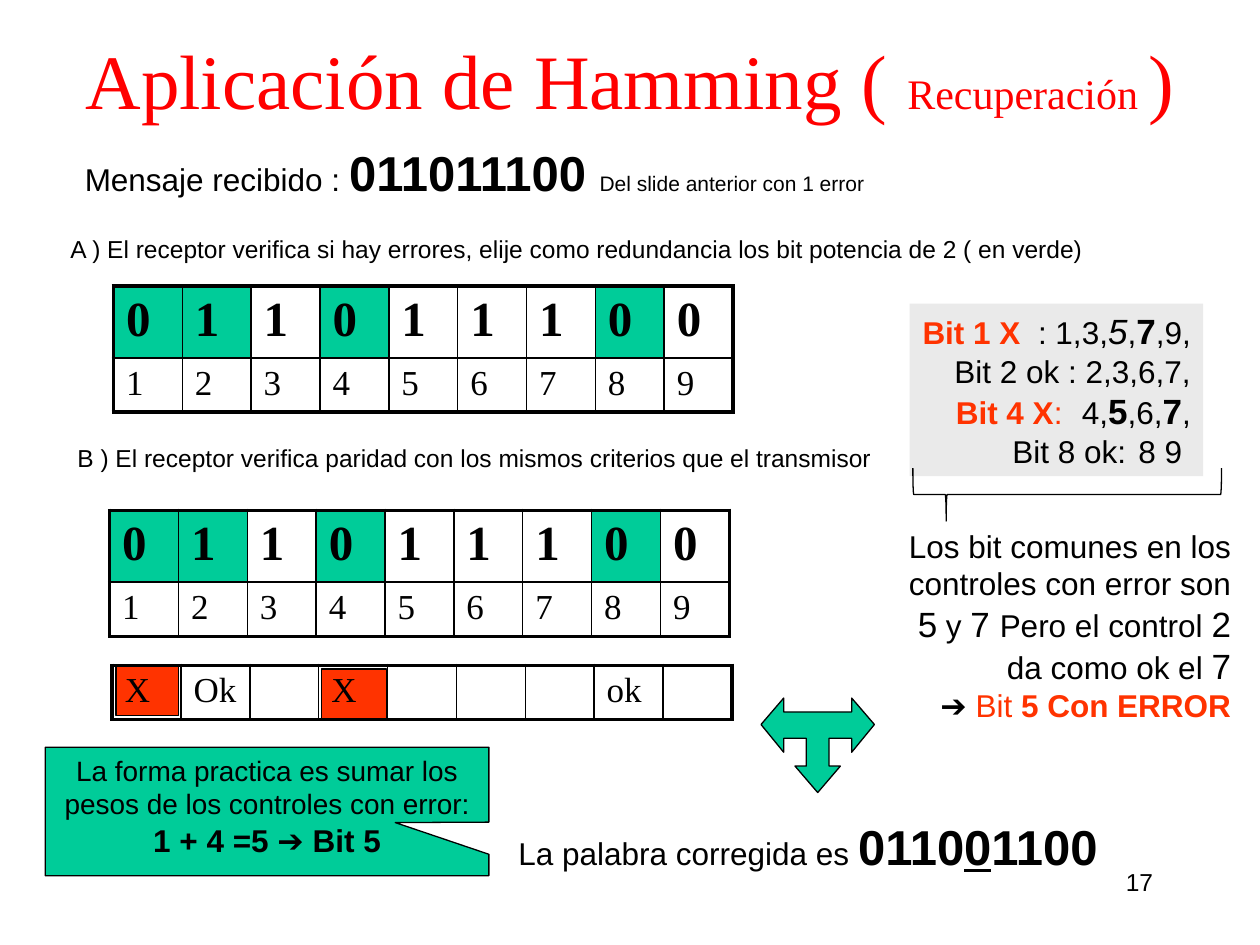
from dataclasses import dataclass

from lxml.etree import SubElement
from pptx import Presentation
from pptx.dml.color import RGBColor
from pptx.enum.shapes import MSO_SHAPE as Preset
from pptx.enum.text import MSO_ANCHOR as Anchor, MSO_AUTO_SIZE as AutoSize, PP_ALIGN as Align
from pptx.oxml.ns import qn
from pptx.util import Inches, Pt


@dataclass(frozen=True)
class Theme:
    sans: str = "Arial"
    serif: str = "Times New Roman"
    black: str = "000000"
    title_red: str = "FF0000"
    alert: str = "FF3300"
    green: str = "00CC99"
    grey: str = "EAEAEA"
    title: float = 44
    bits: float = 28
    subtitle: float = 24
    large: float = 20
    body: float = 18
    note: float = 16
    small: float = 14
    tiny: float = 12
    outline: float = 0.75
    grid: float = 1
    frame: float = 2.25


THEME = Theme()
BOLD = {"bold": True}
BITS = {"size": THEME.bits, "bold": True}
BIG = {"size": THEME.large}
BIG_BOLD = BIG | BOLD
ALERT = {"color": THEME.alert}
ALERT_BOLD = ALERT | BOLD


def rgb(color):
    return RGBColor.from_string(color)


def add_span(para, text, base, **changes):
    span = para.add_run()
    span.text = text
    style = base | changes
    span.font.color.rgb = rgb(style.pop("color", THEME.black))
    style["size"] = Pt(style["size"])
    for name, value in style.items():
        setattr(span.font, name, value)


def write(frame, paragraphs, size=THEME.body, align=Align.RIGHT, font=THEME.sans,
          wrap=True, anchor=Anchor.TOP):
    """Fill a frame; each paragraph is a list of (text, format changes), \\n breaks a line."""
    settings = {"word_wrap": wrap, "auto_size": AutoSize.NONE, "vertical_anchor": anchor}
    for name, value in settings.items():
        setattr(frame, name, value)
    base = {"size": size, "name": font}
    for index, spans in enumerate(paragraphs):
        para = frame.paragraphs[0] if index == 0 else frame.add_paragraph()
        para.alignment = align
        for text, changes in spans:
            for part, line in enumerate(text.split("\n")):
                if part:
                    para.add_line_break()
                if line:
                    add_span(para, line, base, **changes)


def add_text(page, box, paragraphs, **options):
    write(page.shapes.add_textbox(*map(Inches, box)).text_frame, paragraphs, **options)


def paint(shape, fill=None, line=THEME.black):
    shape.shadow.inherit = False
    for part, color in ((shape.fill, fill), (shape.line.fill, line)):
        if color:
            part.solid()
            part.fore_color.rgb = rgb(color)
        else:
            part.background()
    if line:
        shape.line.width = Pt(THEME.outline)


def add_preset(page, preset, box, fill=None, line=THEME.black, adjustments=()):
    shape = page.shapes.add_shape(preset, *map(Inches, box))
    paint(shape, fill, line)
    for index, value in enumerate(adjustments):
        shape.adjustments[index] = value
    return shape


def set_borders(cell, widths):
    properties = cell._tc.get_or_add_tcPr()
    for index, (side, width) in enumerate(widths.items()):
        edge = SubElement(properties, qn(f"a:ln{side}"), w=str(Pt(width)))
        fill = SubElement(edge, qn("a:solidFill"))
        SubElement(fill, qn("a:srgbClr"), val=THEME.black)
        properties.remove(edge)
        properties.insert(index, edge)


def add_grid(page, box, rows, heights, styles, green_columns=()):
    """Draw framed rows of bits; green columns colour the first row."""
    left, top, width = box
    last_row, last_column = len(rows) - 1, len(rows[0]) - 1
    table = page.shapes.add_table(len(rows), len(rows[0]), Inches(left), Inches(top),
                                  Inches(width), Inches(sum(heights))).table
    table.first_row = table.horz_banding = False
    for column in table.columns:
        column.width = int(Inches(width) / len(rows[0]))
    for r, values in enumerate(rows):
        table.rows[r].height = Inches(heights[r])
        for c, value in enumerate(values):
            cell = table.cell(r, c)
            if r == 0 and c in green_columns:
                cell.fill.solid()
                cell.fill.fore_color.rgb = rgb(THEME.green)
            else:
                cell.fill.background()
            outer = {"L": c == 0, "R": c == last_column, "T": r == 0, "B": r == last_row}
            set_borders(cell, {side: THEME.frame if edge else THEME.grid
                               for side, edge in outer.items()})
            write(cell.text_frame, [[(value, styles[r])]], align=Align.LEFT, font=THEME.serif)


def add_bit_table(page, box):
    add_grid(page, box, ["011011100", "123456789"], [0.57, 0.43], [BITS, BIG], (0, 1, 3, 7))


def add_check_row(page, box):
    left, top, _ = box
    for dx, dy, width, height in ((1.66, 0.03, 0.52, 0.39), (0.03, 0, 0.5, 0.4)):
        add_preset(page, Preset.RECTANGLE, (left + dx, top + dy, width, height), THEME.alert)
    add_grid(page, box, [["X", "Ok", "", "X", "", "", "", "ok", ""]], [0.43], [BIG])


def add_title(page, box):
    title = page.shapes.title
    title.left, title.top, title.width, title.height = map(Inches, box)
    write(title.text_frame, [[("Aplicación de Hamming ( ", {}),
                              ("Recuperación ", {"size": THEME.subtitle}), (")", {})]],
          size=THEME.title, align=Align.CENTER, font=THEME.serif, anchor=Anchor.MIDDLE)
    for para in title.text_frame.paragraphs:
        for span in para.runs:
            span.font.color.rgb = rgb(THEME.title_red)


def add_control_panel(page, box):
    """Parity groups, the brace under them and the conclusion."""
    left, top, width, height = box
    panel = add_preset(page, Preset.RECTANGLE, box, THEME.grey, None)
    write(panel.text_frame, [
        [("Bit 1 X", ALERT_BOLD), ("  : 1,3,", {}), ("5", BIG | {"italic": True}),
         (",", {}), ("7", BIG_BOLD), (",9,", {})],
        [("Bit 2 ok : 2,3,6,7,", {})],
        [("Bit 4 X", ALERT_BOLD), (":", ALERT), (" \t4,", {}), ("5", BIG_BOLD),
         (",6,", {}), ("7", BIG_BOLD), (",", {})],
        [("Bit 8 ok: \t8 9 ", {})]], wrap=False)
    brace = add_preset(page, Preset.LEFT_BRACE, (left + 1.04, top + 0.29, 0.42, 2.45),
                       adjustments=(0.018, 0.108))
    brace.rotation = 270
    add_text(page, (left - 0.11, top + height + 0.35, width + 0.43, 1.67), [
        [("Los bit comunes en los\ncontroles con error son\n", {}), ("5", BIG), (" y ", {}),
         ("7 ", BIG), ("Pero el control ", {}), ("2\n", BIG),
         ("da como ok el ", {}), ("7", BIG)],
        [("➔ ", {}), ("Bit ", ALERT), ("5 Con ERROR", ALERT_BOLD)]], wrap=False)


def add_three_way_arrow(page, box):
    left, top, width, height = box
    right_half = [(0.09, 0.54), (0.09, 0.32), (0.27, 0.32), (0.27, 0.43), (0.45, 0.21),
                  (0.27, 0), (0.27, 0.11)]
    half = [(0.18, 0.54)] + right_half
    outline = [(0, height)] + half + [(-x, y) for x, y in reversed(half)]
    points = [(Inches(left + width / 2 + x), Inches(top + y)) for x, y in outline]
    builder = page.shapes.build_freeform(*points[0])
    builder.add_line_segments(points[1:], close=True)
    paint(builder.convert_to_shape(), THEME.green)


def add_callout(page, box):
    callout = add_preset(page, Preset.ROUNDED_RECTANGULAR_CALLOUT, box, THEME.green,
                         adjustments=(0.289, 0.087, 0))
    write(callout.text_frame, [[
        ("La forma practica es sumar los pesos de los controles con error: ", {}),
        ("1 + 4 =5 ➔ Bit 5", BOLD | {"size": THEME.body})]],
        size=THEME.note, align=Align.CENTER)


def main():
    deck = Presentation()
    deck.slide_width, deck.slide_height = Inches(10), Inches(7.5)
    page = deck.slides.add_slide(deck.slide_layouts[5])
    add_title(page, (0, 0, 10, 1.25))
    add_text(page, (0.51, 1.08, 6.45, 0.57), [[
        ("Mensaje recibido : ", {}), ("011011100 ", BITS),
        ("Del slide anterior con 1 error", {"size": THEME.tiny})]])
    add_text(page, (0.44, 1.81, 8.26, 0.33), [[
        ("A ) El receptor verifica si hay errores, elije como redundancia "
         "los bit potencia de 2 ( en verde) ", {})]], size=THEME.small)
    add_bit_table(page, (0.9, 2.27, 4.92))
    add_text(page, (0.49, 3.47, 6.53, 0.33), [[
        ("B ) El receptor verifica paridad con los mismos criterios "
         "que el transmisor ", {})]], size=THEME.small)
    add_bit_table(page, (0.87, 4.05, 4.92))
    add_check_row(page, (0.89, 5.28, 4.92))
    add_control_panel(page, (7.22, 2.41, 2.33, 1.37))
    add_three_way_arrow(page, (6.04, 5.54, 0.9, 0.75))
    add_text(page, (3.96, 6.43, 4.85, 0.57), [[
        ("La palabra corregida es ", {}), ("0110", BITS),
        ("0", BITS | {"underline": True}), ("1100", BITS)]])
    add_callout(page, (0.36, 5.93, 3.52, 1.02))
    add_text(page, (7.17, 6.83, 2.08, 0.5), [[("17", {})]], size=THEME.small)
    deck.save("out.pptx")


if __name__ == "__main__":
    main()
